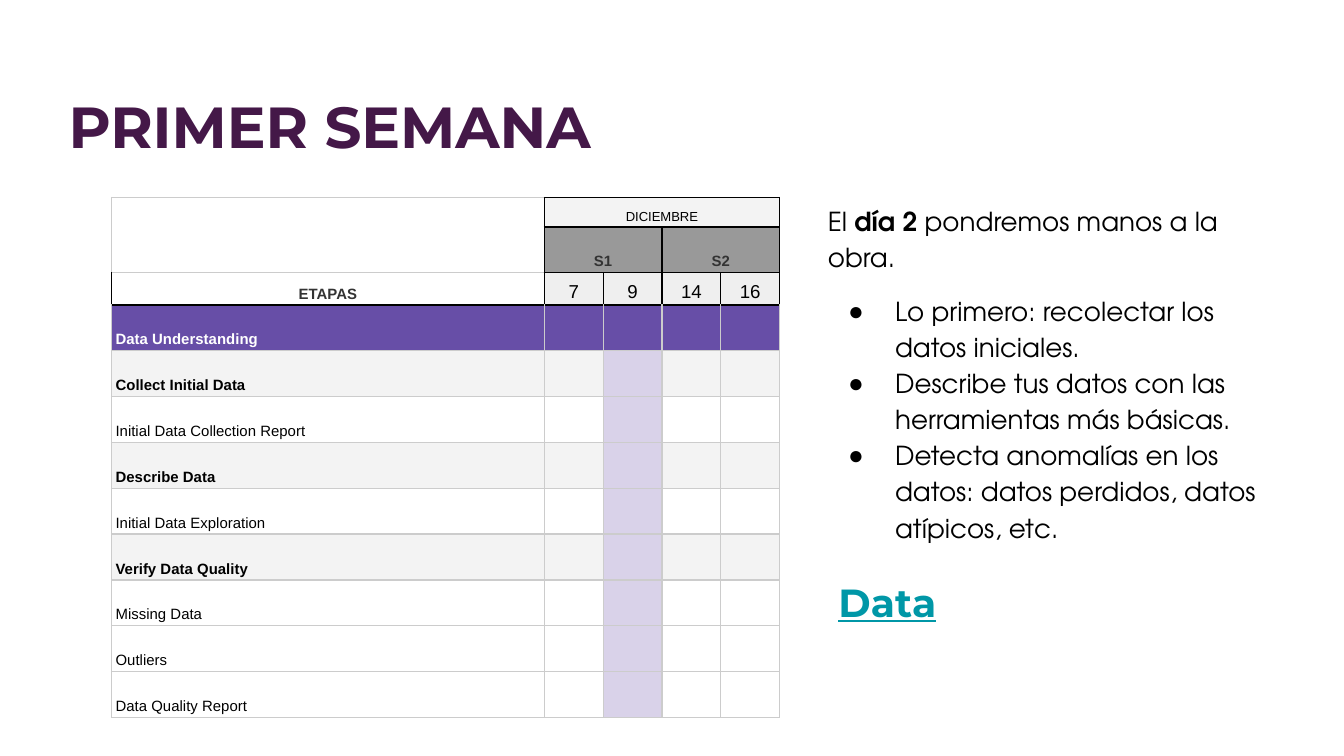
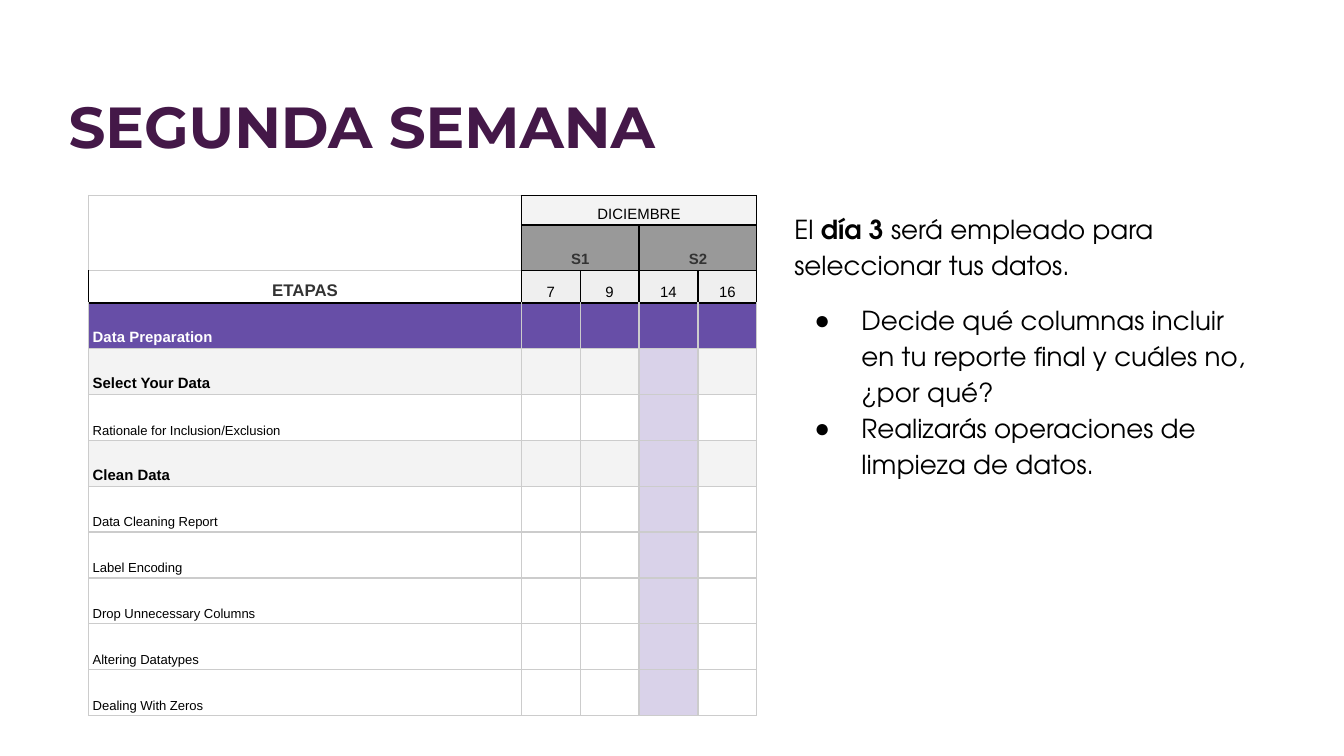
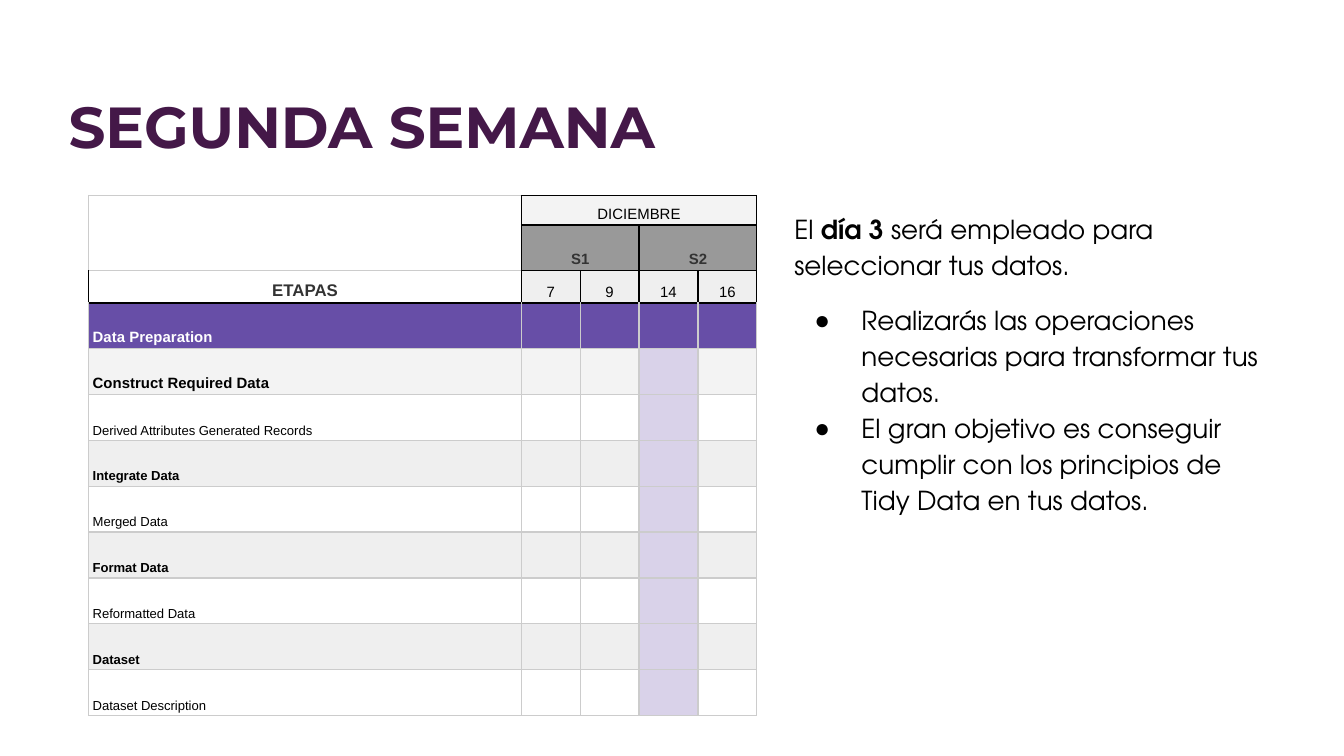
from dataclasses import dataclass

from lxml import etree
from pptx import Presentation
from pptx import util as u
from pptx.dml.color import RGBColor
from pptx.enum import text
from pptx.oxml import ns


@dataclass(frozen=True)
class Theme:
    title: str = "441848"
    ink: str = "000000"
    white: str = "FFFFFF"
    phase: str = "674EA7"
    active: str = "D9D2E9"
    week: str = "999999"
    week_ink: str = "333333"
    pale: str = "F3F3F3"
    day: str = "EFEFEF"
    rule: str = "CCCCCC"
    link: str = "0097A7"
    head_font: str = "Montserrat"
    body_font: str = "TeX Gyre Adventor"
    table_font: str = "Arial"
    title_size: int = 31
    link_size: int = 21
    body_size: int = 14
    large: int = 8
    small: int = 7


T = Theme()
UNIT = u.Inches(0.1)  # grid of 100 columns, 0.1 inch each way
STAGE_COL, DAY_COL = 32.2, 4.38
HEAD_ROWS, STAGE_ROW = [2.2, 3.4, 2.4], 3.41
DAYS = ["7", "9", "14", "16"]

# Each stage: name, bold, type size
SLIDES = [
    dict(title="PRIMER SEMANA", table=(8.3, 14.7), body=(60.6, 13.9, 34.4, 24.8),
         sizes=dict(month=7, stages=8, day=10), active=2,
         phase="Data Understanding",
         stages=[("Collect Initial Data", True, T.large),
                 ("Initial Data Collection Report", False, T.large),
                 ("Describe Data", True, T.large),
                 ("Initial Data Exploration", False, T.large),
                 ("Verify Data Quality", True, T.large),
                 ("Missing Data", False, T.large),
                 ("Outliers", False, T.large),
                 ("Data Quality Report", False, T.large)],
         intro=["El ", "día 2 ", "pondremos manos a la obra."],
         bullets=["Lo primero: recolectar los datos iniciales.",
                  "Describe tus datos con las herramientas más básicas.",
                  "Detecta anomalías en los datos: datos perdidos, datos atípicos, etc."],
         link="Data"),
    dict(title="SEGUNDA SEMANA", table=(6.6, 14.55), body=(58.1, 14.55, 36.7, 22),
         sizes=dict(month=8, stages=9, day=8), active=3,
         phase="Data Preparation",
         stages=[("Select Your Data", True, T.large),
                 ("Rationale for Inclusion/Exclusion", False, T.small),
                 ("Clean Data", True, T.large),
                 ("Data Cleaning Report", False, T.small),
                 ("Label Encoding", False, T.small),
                 ("Drop Unnecessary Columns", False, T.small),
                 ("Altering Datatypes", False, T.small),
                 ("Dealing With Zeros", False, T.small)],
         intro=["El ", "día 3", " será empleado para seleccionar tus datos."],
         bullets=["Decide qué columnas incluir en tu reporte final y cuáles no, ¿por qué?",
                  "Realizarás operaciones de limpieza de datos."]),
    dict(title="SEGUNDA SEMANA", table=(6.6, 14.55), body=(58.1, 14.55, 36.7, 24.8),
         sizes=dict(month=8, stages=9, day=8), active=3,
         phase="Data Preparation",
         stages=[("Construct Required Data", True, T.large),
                 ("Derived Attributes Generated Records", False, T.small),
                 ("Integrate Data", True, T.small),
                 ("Merged Data", False, T.small),
                 ("Format Data", True, T.small),
                 ("Reformatted Data", False, T.small),
                 ("Dataset", True, T.small),
                 ("Dataset Description", False, T.small)],
         intro=["El ", "día 3", " será empleado para seleccionar tus datos."],
         bullets=["Realizarás las operaciones necesarias para transformar tus datos.",
                  "El gran objetivo es conseguir cumplir con los principios de "
                  "Tidy Data en tus datos."]),
]


def style(p, font, size, color, bold=False):
    for r in p.runs:
        r.font.name, r.font.size, r.font.bold = font, u.Pt(size), bold
        r.font.color.rgb = RGBColor.from_string(color)


def place(sp, left, top, width, height):
    sp.left, sp.top, sp.width, sp.height = (int(n * UNIT) for n in (left, top, width, height))
    tf = sp.text_frame
    tf.word_wrap, tf.auto_size = True, text.MSO_AUTO_SIZE.NONE
    tf.vertical_anchor = text.MSO_ANCHOR.TOP
    tf.margin_left = tf.margin_right = tf.margin_top = tf.margin_bottom = UNIT
    return tf


prs = Presentation()
prs.slide_width = u.Inches(10)
prs.slide_height = prs.slide_width * 9 // 16

for plan in SLIDES:
    s = prs.slides.add_slide(prs.slide_layouts[1])

    # Title
    tf = place(s.shapes.title, 4.1, 4.2, 93.8, 7)
    tf.text = plan["title"]
    p = tf.paragraphs[0]
    p.alignment, p.line_spacing = text.PP_ALIGN.LEFT, 1.3
    p.space_before, p.space_after = u.Pt(0), u.Pt(6)
    style(p, T.head_font, T.title_size, T.title, True)

    # Introduction and bullets
    tf = place(s.placeholders[1], *plan["body"])
    for i, line in enumerate([plan["intro"]] + plan["bullets"]):
        p = tf.paragraphs[0] if i == 0 else tf.add_paragraph()
        pPr = p._p.get_or_add_pPr()
        pPr.set("marL", str(u.Inches(0.5 if i else 0)))
        pPr.set("indent", str(u.Inches(-0.35 if i else 0)))
        if i == 0:
            etree.SubElement(pPr, ns.qn("a:buNone"))
            for part in line:
                p.add_run().text = part
        else:
            color = etree.SubElement(pPr, ns.qn("a:buClr"))
            etree.SubElement(color, ns.qn("a:srgbClr"), val=T.ink)
            etree.SubElement(pPr, ns.qn("a:buFont"), typeface=T.table_font)
            etree.SubElement(pPr, ns.qn("a:buChar"), char="●")
            p.text = line
        p.line_spacing, p.space_before = 1.15, u.Pt(10 if i == 1 else 0)
        style(p, T.body_font, T.body_size, T.ink)
    tf.paragraphs[0].runs[1].font.bold = True

    # Schedule contents: (row, column) -> text, size, colour, bold
    sizes = plan["sizes"]
    labels = {(0, 1): ("DICIEMBRE", sizes["month"], T.ink, False),
              (1, 1): ("S1", T.large, T.week_ink, True),
              (1, 3): ("S2", T.large, T.week_ink, True),
              (2, 0): ("ETAPAS", sizes["stages"], T.week_ink, True),
              (3, 0): (plan["phase"], T.large, T.white, True)}
    for c, day in enumerate(DAYS, 1):
        labels[2, c] = (day, sizes["day"], T.ink, False)
    for r, (name, bold, size) in enumerate(plan["stages"], 4):
        labels[r, 0] = (name, size, T.ink, bold)

    # Schedule grid
    cols = [STAGE_COL] + [DAY_COL] * len(DAYS)
    rows = HEAD_ROWS + [STAGE_ROW] * (1 + len(plan["stages"]))
    left, top = plan["table"]
    frame = s.shapes.add_table(len(rows), len(cols), *(
        int(n * UNIT) for n in (left, top, sum(cols), sum(rows))))
    table = frame.table
    table.first_row = table.horz_banding = False
    for c, width in enumerate(cols):
        table.columns[c].width = int(width * UNIT)
    for r, height in enumerate(rows):
        table.rows[r].height = int(height * UNIT)

    for r in range(len(rows)):
        for c in range(len(cols)):
            cell = table.cell(r, c)
            cell.vertical_anchor = text.MSO_ANCHOR.BOTTOM
            cell.margin_left = cell.margin_right = u.Inches(0.03)
            cell.margin_top = cell.margin_bottom = 0
            if (r, c) in labels:
                label, size, color, bold = labels[r, c]
                cell.margin_top = cell.margin_bottom = u.Inches(0.02)
                cell.text_frame.text = label
                p = cell.text_frame.paragraphs[0]
                p.line_spacing = 1.15
                if r < 3:
                    p.alignment = text.PP_ALIGN.CENTER
                style(p, T.table_font, size, color, bold)

            # Fill
            if r < 3:
                fill = [T.pale, T.week, T.day][r] if c else (T.white if r == 2 else None)
            elif r == 3:
                fill = T.phase
            elif c == plan["active"]:
                fill = T.active
            else:
                name, bold, size = plan["stages"][r - 4]
                fill = (T.pale if size == T.large else T.day) if bold else None
            if fill:
                cell.fill.solid()
                cell.fill.fore_color.rgb = RGBColor.from_string(fill)
            else:
                cell.fill.background()

            # Borders: black around the header, grey elsewhere
            header = r < 3 and c > 0
            dark = dict(L=header or r == 2, R=r < 3,
                        T=header or r == 3, B=header or r == 2)
            tcPr = cell._tc.get_or_add_tcPr()
            for i, (side, black) in enumerate(dark.items()):
                ln = etree.Element(ns.qn("a:ln" + side), w=str(u.Pt(0.75)))
                solid = etree.SubElement(ln, ns.qn("a:solidFill"))
                etree.SubElement(solid, ns.qn("a:srgbClr"), val=T.ink if black else T.rule)
                tcPr.insert(i, ln)

    # Header spans
    for first, last in [((0, 0), (1, 0)), ((0, 1), (0, 4)), ((1, 1), (1, 2)), ((1, 3), (1, 4))]:
        table.cell(*first).merge(table.cell(*last))

    # Underlined data label
    if "link" in plan:
        tf = place(s.shapes.add_textbox(0, 0, 0, 0), 61.4, 42, 32.8, 5.6)
        tf.text = plan["link"]
        style(tf.paragraphs[0], T.head_font, T.link_size, T.link, True)
        tf.paragraphs[0].runs[0].font.underline = True

prs.save("out.pptx")
